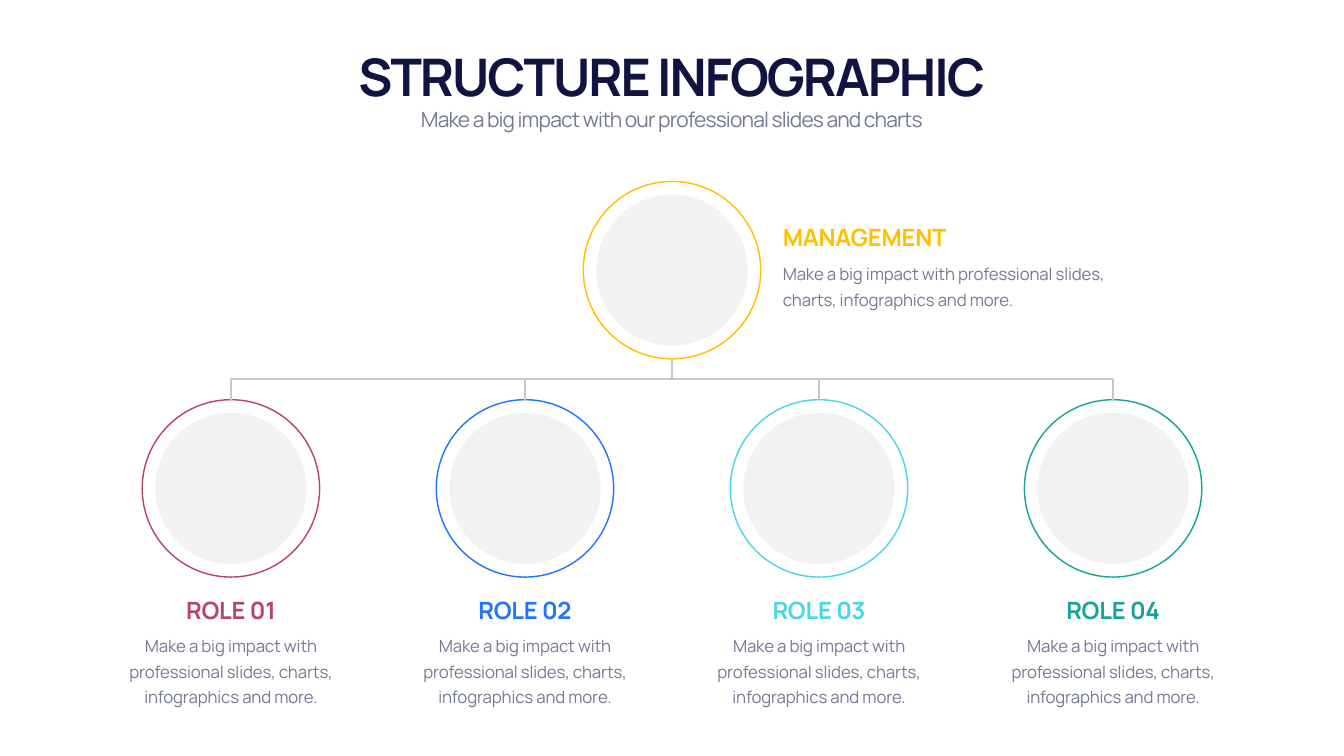
from dataclasses import dataclass

from lxml import etree
from pptx import Presentation
from pptx.dml.color import RGBColor
from pptx.enum.shapes import MSO_CONNECTOR, MSO_SHAPE
from pptx.enum.text import MSO_ANCHOR, MSO_AUTO_SIZE, PP_ALIGN
from pptx.oxml.ns import qn
from pptx.util import Inches, Pt

OVAL = MSO_SHAPE.OVAL
STRAIGHT = MSO_CONNECTOR.STRAIGHT
TOP, BOTTOM = MSO_ANCHOR.TOP, MSO_ANCHOR.BOTTOM
LEFT, CENTER = PP_ALIGN.LEFT, PP_ALIGN.CENTER
GROW = MSO_AUTO_SIZE.SHAPE_TO_FIT_TEXT


@dataclass(frozen=True)
class Style:
    """Size in points, tracking in hundredths of a point, weight and leading."""
    size: int
    tracking: int
    bold: bool = False
    leading: int = 0


@dataclass(frozen=True)
class Theme:
    """Font, colours, line width and type styles of the slide."""
    font: str = "Manrope"
    navy: str = "111340"
    grey: str = "747994"
    disc: str = "F2F2F2"
    wire: str = "C3C8CE"
    management: str = "FFC000"
    roles: tuple = ("B5446E", "2075FD", "4BD6E5", "17A398")
    line: int = 2
    title: Style = Style(74, -290, bold=True)
    subtitle: Style = Style(30, -120)
    heading: Style = Style(34, -30, bold=True)
    body: Style = Style(24, -20, leading=36)


THEME = Theme()
BODY = "Make a big impact with professional slides, charts, infographics and more."
WIDTH, HEIGHT = 26.66, 15
CENTER_X = WIDTH / 2
DISC, RING = 3, 3.52
TOP_Y, ROLE_Y = 5.36, 9.69
BUS_Y = 7.52
FIRST_X, LAST_X = 4.58, 22.08
ROLE_TEXT_W = 4.79


def format_text(sp, text, style, color, align=CENTER, anchor=TOP):
    """Write one styled paragraph into a text-bearing shape."""
    tf = sp.text_frame
    tf.word_wrap = True
    tf.auto_size = GROW
    tf.vertical_anchor = anchor
    p = tf.paragraphs[0]
    p.alignment = align
    if style.leading:
        p.line_spacing = Pt(style.leading)
    r = p.add_run()
    r.text = text
    r.font.name = THEME.font
    r.font.size = Pt(style.size)
    r.font.bold = style.bold
    r.font.color.rgb = RGBColor.from_string(color)
    r._r.get_or_add_rPr().set("spc", str(style.tracking))


def add_title(s, text, x, y, w, h):
    """Place and format the title placeholder."""
    sp = s.shapes.title
    sp.left, sp.top, sp.width, sp.height = (Inches(v) for v in (x, y, w, h))
    format_text(sp, text, THEME.title, THEME.navy, anchor=BOTTOM)


def add_text(s, text, x, y, w, h, style, color, align=CENTER, anchor=TOP):
    """Add a text box with one styled paragraph."""
    sp = s.shapes.add_textbox(Inches(x), Inches(y), Inches(w), Inches(h))
    format_text(sp, text, style, color, align, anchor)


def set_line(sp, color):
    """Give a shape or connector the slide's line weight and a colour."""
    sp.line.color.rgb = RGBColor.from_string(color)
    sp.line.width = Pt(THEME.line)


def add_circle(s, x, y, diameter):
    """Add a shadowless circle around a centre point."""
    sp = s.shapes.add_shape(OVAL, Inches(x - diameter / 2), Inches(y - diameter / 2),
                            Inches(diameter), Inches(diameter))
    sp.shadow.inherit = False
    return sp


def add_portrait(s, x, y, color):
    """Add a grey disc inside a coloured ring."""
    disc = add_circle(s, x, y, DISC)
    disc.fill.solid()
    disc.fill.fore_color.rgb = RGBColor.from_string(THEME.disc)
    disc.line.fill.background()
    ring = add_circle(s, x, y, RING)
    ring.fill.background()
    set_line(ring, color)


def add_stem(s, x, y1, y2):
    """Add a vertical connector."""
    sp = s.shapes.add_connector(STRAIGHT, Inches(x), Inches(y1), Inches(x), Inches(y2))
    set_line(sp, THEME.wire)
    etree.SubElement(sp._element.spPr, qn("a:effectLst"))


def add_bracket(s, x1, x2, y1, y2):
    """Add an open bracket that hangs from y1 down to y2."""
    fb = s.shapes.build_freeform(Inches(x1), Inches(y2))
    corners = [(x1, y1), (x2, y1), (x2, y2)]
    fb.add_line_segments([(Inches(x), Inches(y)) for x, y in corners], close=False)
    sp = fb.convert_to_shape()
    sp.shadow.inherit = False
    sp.fill.background()
    set_line(sp, THEME.wire)


def add_management(s):
    """Add the top portrait with its text on the right."""
    add_portrait(s, CENTER_X, TOP_Y, THEME.management)
    add_text(s, "MANAGEMENT", 15.43, 4.37, 6.75, 0.67, THEME.heading,
             THEME.management, LEFT, BOTTOM)
    add_text(s, BODY, 15.43, 5.09, 6.75, 1.09, THEME.body, THEME.grey, LEFT)


def add_role(s, number, x, color):
    """Add a role portrait with its text below."""
    left = x - ROLE_TEXT_W / 2
    add_portrait(s, x, ROLE_Y, color)
    add_text(s, f"ROLE {number:02d}", left, 11.76, ROLE_TEXT_W, 0.67,
             THEME.heading, color, anchor=BOTTOM)
    add_text(s, BODY, left, 12.47, ROLE_TEXT_W, 1.59, THEME.body, THEME.grey)


def add_wiring(s, centers):
    """Connect the management ring to every role ring."""
    ring_top = ROLE_Y - RING / 2
    add_bracket(s, centers[0], centers[-1], BUS_Y, ring_top)
    add_stem(s, CENTER_X, TOP_Y + RING / 2, BUS_Y)
    for x in centers[1:-1]:
        add_stem(s, x, BUS_Y, ring_top)


def main():
    """Build the structure slide and save it."""
    prs = Presentation()
    prs.slide_width, prs.slide_height = Inches(WIDTH), Inches(HEIGHT)
    s = prs.slides.add_slide(prs.slide_layouts[5])
    add_title(s, "STRUCTURE INFOGRAPHIC", 1.66, 0.82, 23.33, 1.35)
    add_text(s, "Make a big impact with our professional slides and charts",
             1.66, 2.07, 23.33, 0.61, THEME.subtitle, THEME.grey)
    step = (LAST_X - FIRST_X) / (len(THEME.roles) - 1)
    centers = [FIRST_X + i * step for i in range(len(THEME.roles))]
    add_management(s)
    for number, (x, color) in enumerate(zip(centers, THEME.roles), 1):
        add_role(s, number, x, color)
    add_wiring(s, centers)
    prs.save("out.pptx")


if __name__ == "__main__":
    main()
